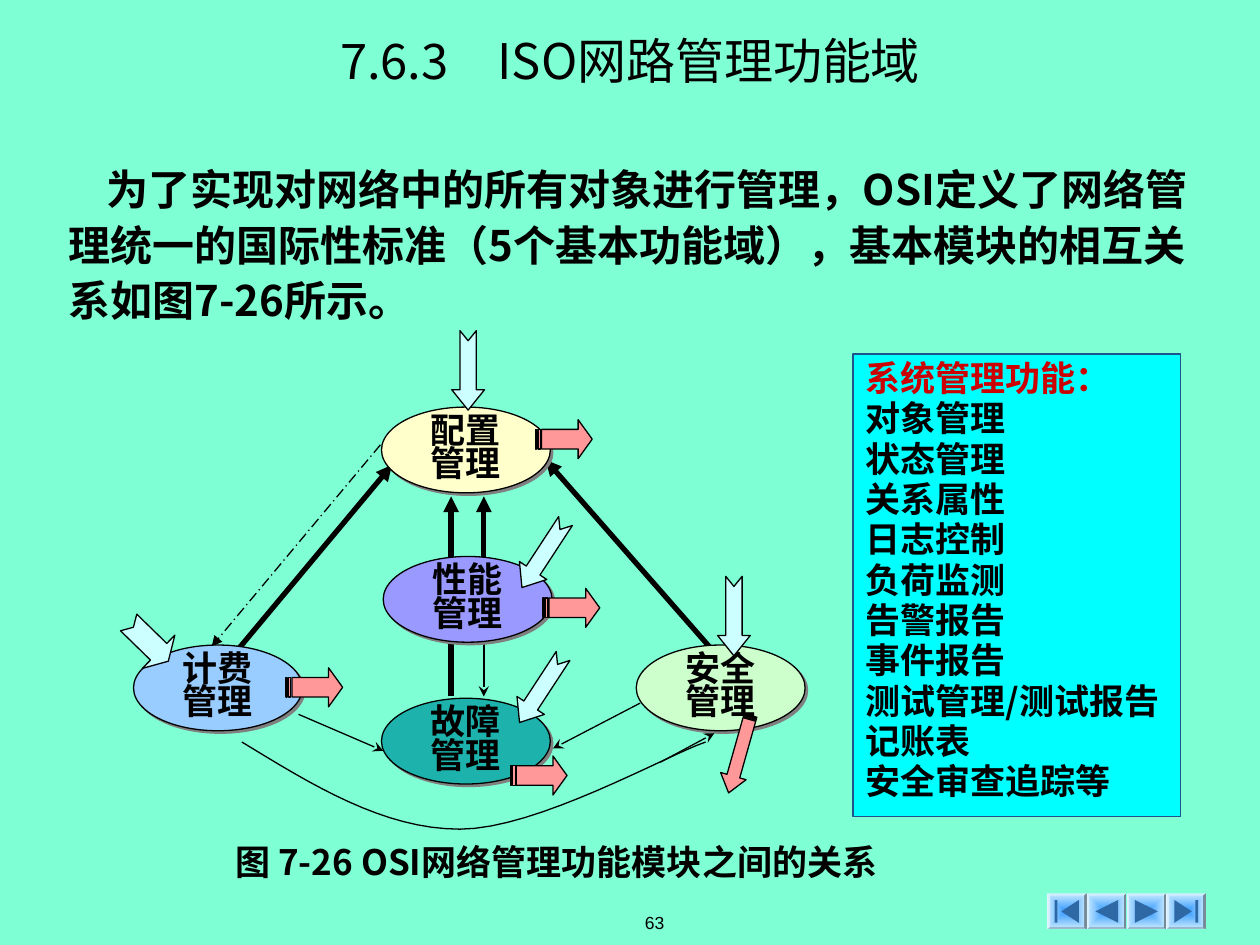
import pptx
import pptx.dml.color
import pptx.enum.dml
import pptx.enum.shapes
import pptx.enum.text
import pptx.oxml
import pptx.oxml.ns
import pptx.util

Pt = pptx.util.Pt
RGB = pptx.dml.color.RGBColor
KIND = pptx.enum.shapes.MSO_SHAPE
ALIGN = pptx.enum.text.PP_ALIGN
ANCHOR = pptx.enum.text.MSO_ANCHOR
DASH = pptx.enum.dml.MSO_LINE
qn = pptx.oxml.ns.qn

AQUA = RGB(0x7F, 0xFF, 0xD4)
BLACK = RGB(0, 0, 0)
RED = RGB(0xCC, 0, 0)
CYAN = RGB(0, 0xFF, 0xFF)
NAVY = RGB(0x1D, 0x52, 0x8D)
CREAM = RGB(0xFF, 0xFF, 0xCC)
VIOLET = RGB(0x99, 0x99, 0xFF)
SKY = RGB(0x99, 0xCC, 0xFF)
MINT = RGB(0xCC, 0xFF, 0xCC)
TEAL = RGB(0x1D, 0xB3, 0xAC)
ICE = RGB(0xCC, 0xFF, 0xFF)
PINK = RGB(0xFF, 0x99, 0x99)
BLUE = RGB(0x33, 0x99, 0xFF)
PALE = RGB(0xCC, 0xEC, 0xFF)
STEEL = RGB(0x2F, 0x69, 0xA5)
SANS = "Noto Sans CJK SC"


def xml(text):
    space = 'xmlns:a="http://schemas.openxmlformats.org/drawingml/2006/main"'
    return pptx.oxml.parse_xml(text.replace(">", f" {space}>", 1)
                               if "/>" not in text.split(">")[0] + ">"
                               else text.replace("/>", f" {space}/>", 1))


def write(shape, text, size=20, font=SANS, bold=True, color=BLACK, first=None,
          align=ALIGN.CENTER, anchor=ANCHOR.MIDDLE, inset=(0, 0, 0, 0),
          space=1.0, indent=0):
    """Fill a shape with one paragraph per line; first colours the top one."""
    frame = shape.text_frame
    frame.text = text
    frame.word_wrap = True
    frame.auto_size = pptx.enum.text.MSO_AUTO_SIZE.NONE
    frame.vertical_anchor = anchor
    (frame.margin_left, frame.margin_top,
     frame.margin_right, frame.margin_bottom) = map(Pt, inset)
    for i, para in enumerate(frame.paragraphs):
        props = para._p.get_or_add_pPr()
        props.set("marL", "0")
        props.set("indent", str(Pt(indent)))
        props.append(xml("<a:buNone/>"))
        para.alignment = align
        para.line_spacing = space
        para.space_before = para.space_after = Pt(0)
        for run in para.runs:
            run.font.size = Pt(size)
            run.font.name = font
            run.font.bold = bold
            run.font.color.rgb = first if first and i == 0 else color
            run._r.get_or_add_rPr().append(xml(f'<a:ea typeface="{SANS}"/>'))


def place(shape, box):
    shape.left, shape.top, shape.width, shape.height = map(Pt, box)
    return shape


def label(slide, box, text, **form):
    write(slide.shapes.add_textbox(*map(Pt, box)), text, **form)


def draw(slide, kind, box, fill, line=BLACK, turn=0, adjust=()):
    shape = slide.shapes.add_shape(kind, *map(Pt, box))
    shape.shadow.inherit = False
    shape.fill.solid()
    shape.fill.fore_color.rgb = fill
    if line is None:
        shape.line.fill.background()
    else:
        shape.line.color.rgb = line
        shape.line.width = Pt(0.75)
    shape.rotation = turn
    for i, value in enumerate(adjust):
        shape.adjustments[i] = value
    return shape


def link(slide, start, end, width=0.75, head="stealth", dash=None):
    line = slide.shapes.add_connector(
        pptx.enum.shapes.MSO_CONNECTOR.STRAIGHT, *map(Pt, start + end))
    line.line.color.rgb = BLACK
    line.line.width = Pt(width)
    if dash:
        line.line.dash_style = dash
    line.line._get_or_add_ln().append(xml(f'<a:tailEnd type="{head}"/>'))
    line._element.spPr.append(xml("<a:effectLst/>"))


def node(slide, box, text, fill):
    shape = draw(slide, KIND.OVAL, box, fill)
    effect = shape._element.spPr.find(qn("a:effectLst"))
    effect.append(xml(f'<a:outerShdw dist="{Pt(2)}" dir="2700000">'
                      '<a:srgbClr val="808080"/></a:outerShdw>'))
    write(shape, text, font="Times New Roman", space=0.8)


def bezier(a, b, c, d, steps=16):
    for i in range(1, steps + 1):
        t = i / steps
        u = 1 - t
        yield tuple(u**3 * p + 3 * u * u * t * q + 3 * u * t * t * r + t**3 * s
                    for p, q, r, s in zip(a, b, c, d))


def curve(slide, start, *parts):
    pen = slide.shapes.build_freeform(*map(Pt, start), scale=1.0)
    for part in parts:
        pen.add_line_segments([tuple(map(Pt, p)) for p in bezier(start, *part)],
                              close=False)
        start = part[-1]
    shape = pen.convert_to_shape()
    shape.shadow.inherit = False
    shape.fill.background()
    shape.line.color.rgb = BLACK
    shape.line.width = Pt(0.75)


def diagram(slide, box):
    left, top = box[:2]

    def at(x, y):
        return left + x, top + y

    link(slide, at(207.5, 160), at(207.5, 209))
    link(slide, at(148.4, 65.2), at(52, 180.4), head="triangle",
         dash=DASH.LONG_DASH_DOT)
    for start, end in (((346.4, 192), (242.8, 73.8)), ((57.7, 193.3), (155, 76.7)),
                       ((188.8, 209), (188.8, 94.7)), ((207.5, 144.4), (207.5, 94.7))):
        link(slide, at(*start), at(*end), width=3, head="triangle")

    for x, y, name, fill in ((149, 43.6, "配置", CREAM), (150, 129, "性能", VIOLET),
                             (7.3, 179.6, "计费", SKY), (294.6, 179.6, "安全", MINT),
                             (149, 210, "故障", TEAL)):
        node(slide, at(x, y) + (96.5, 49), name + "\n管理", fill)

    curve(slide, at(69.2, 235),
          (at(109.6, 259.6), at(150, 284.8), at(193.8, 284.8)),
          (at(237.7, 284.8), at(311.2, 243), at(334.2, 235)))
    for start, end in (((308.3, 246.6), (339.2, 230)), ((101.6, 219.2), (150, 240)),
                       ((296.8, 212.8), (247, 238.7))):
        link(slide, at(*start), at(*end))

    long, short = (45.4, 18.7), (32.4, 22.3)
    for x, y, size, turn, tip in ((175.8, 13.3, long, 90, 0.62),
                                  (219, 118.4, long, 123.2, 0.62),
                                  (217.6, 195.5, long, 123.2, 0.62),
                                  (0, 164.5, (31.7, 26.6), 44.3, 0.29),
                                  (327.7, 153.7, long, 90, 0.62)):
        draw(slide, KIND.NOTCHED_RIGHT_ARROW, at(x, y) + size, ICE,
             turn=turn, adjust=(0.5, tip))
    for x, y, size, turn, tip in ((241.3, 147.2, short, 0, 0.36),
                                  (222.6, 243, short, 0, 0.36),
                                  (94.4, 192.6, short, 0, 0.36),
                                  (237, 50.8, short, 0, 0.36),
                                  (330.6, 234.4, (46, 15.1), 105.8, 0.66)):
        draw(slide, KIND.STRIPED_RIGHT_ARROW, at(x, y) + size, PINK,
             turn=turn, adjust=(0.5, tip))


def panel(slide, box):
    shape = place(slide.placeholders[1], box)
    shape.fill.solid()
    shape.fill.fore_color.rgb = CYAN
    shape.line.color.rgb = NAVY
    shape.line.width = Pt(0.75)
    items = ("系统管理功能：", "对象管理", "状态管理", "关系属性", "日志控制", "负荷监测",
             "告警报告", "事件报告", "测试管理/测试报告", "记账表", "安全审查追踪等")
    write(shape, "\n".join(items), first=RED, align=ALIGN.JUSTIFY,
          anchor=ANCHOR.TOP, inset=(7.2, 3, 0, 0), space=0.96)


def button(slide, box, side, bar):
    """Draw a bevelled key whose triangle points left (-1) or right (1)."""
    x, y, w, h = box
    key = draw(slide, KIND.BEVEL, box, BLUE, line=None, adjust=(0.06,))
    key.fill.gradient()
    for stop, place_at, color in zip(key.fill.gradient_stops, (0, 1), (BLUE, PALE)):
        stop.position = place_at
        stop.color.rgb = color
    grad = key._element.spPr.find(qn("a:gradFill"))
    grad.replace(grad.find(qn("a:lin")), xml(
        '<a:path path="rect"><a:fillToRect l="50000" t="50000" r="50000" b="50000"/>'
        '</a:path>'))
    wide, deep = 13, 10 if bar else 13
    mid = x + w / 2 - (side * 1.7 if bar else 0)
    draw(slide, KIND.ISOSCELES_TRIANGLE,
         (mid - wide / 2, y + (h - deep) / 2, wide, deep), STEEL, None, turn=side * 90 % 360)
    if bar:
        draw(slide, KIND.RECTANGLE,
             (x + w / 2 + side * 6.2 - 0.8, y + (h - wide) / 2, 1.6, wide), STEEL, None)


def keys(slide, box):
    x, y, w, h = box
    step = w / 4
    for i, (side, bar) in enumerate(((-1, True), (-1, False), (1, False), (1, True))):
        button(slide, (x + i * step, y, step, h), side, bar)


def main():
    deck = pptx.Presentation()
    deck.slide_width, deck.slide_height = Pt(720), Pt(540)
    slide = deck.slides.add_slide(deck.slide_layouts[1])
    slide.background.fill.solid()
    slide.background.fill.fore_color.rgb = AQUA

    write(place(slide.shapes.title, (0, 12.2, 720, 44.6)), "7.6.3　ISO网路管理功能域",
          size=28, bold=False, inset=(7.2, 3.6, 7.2, 3.6))
    label(slide, (39, 90, 652, 96.5),
          "为了实现对网络中的所有对象进行管理，OSI定义了网络管理统一的国际性标准"
          "（5个基本功能域），基本模块的相互关系如图7-26所示。",
          size=24, align=ALIGN.LEFT, space=1.1, indent=22)
    diagram(slide, (69, 189, 395, 285))
    panel(slide, (487.4, 202.3, 187.2, 264.2))
    label(slide, (121.7, 481.7, 392.4, 21.6), "图 7-26 OSI网络管理功能模块之间的关系")
    label(slide, (297.4, 514, 153.4, 26), "63", size=10, font="Arial", bold=False)
    keys(slide, (598.4, 510.5, 90.7, 20.6))
    deck.save("out.pptx")


if __name__ == "__main__":
    main()
